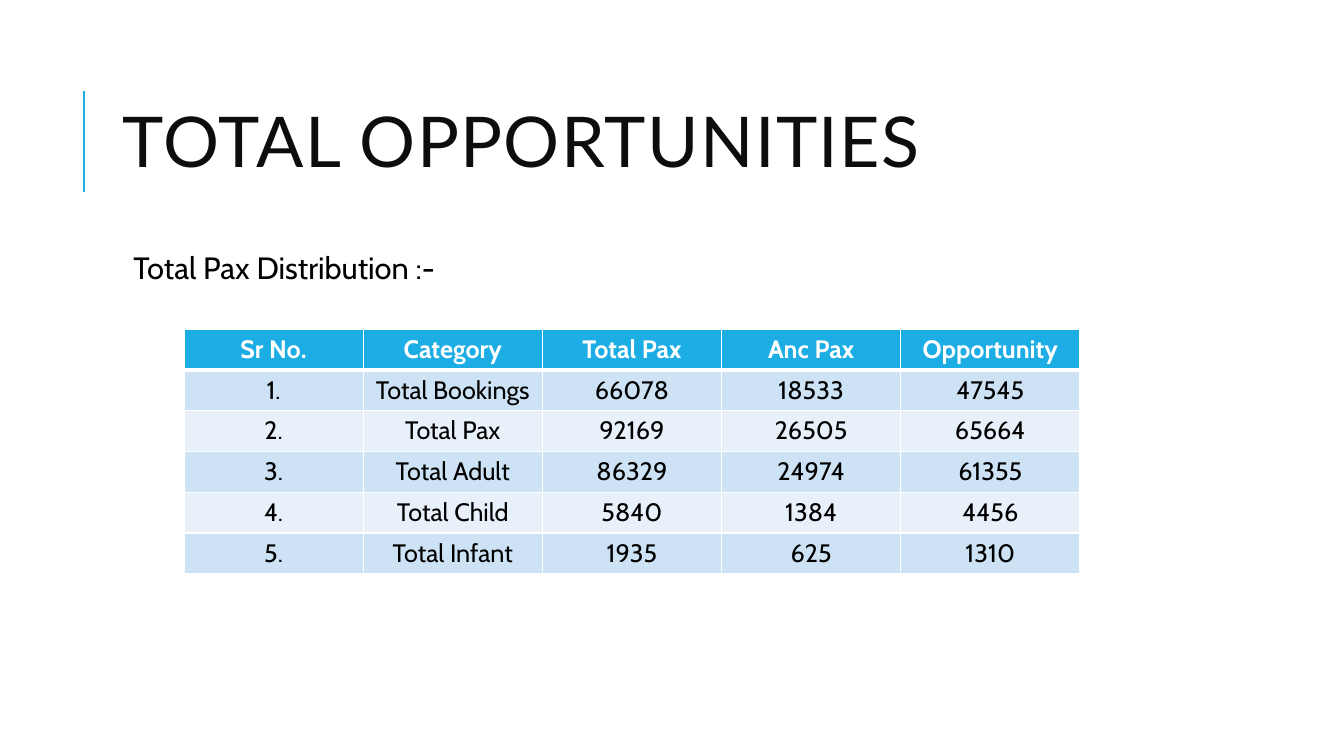
from lxml.etree import SubElement
from pptx import Presentation
from pptx.dml.color import RGBColor
from pptx.enum.shapes import MSO_CONNECTOR
from pptx.enum.text import MSO_ANCHOR, PP_ALIGN
from pptx.oxml import parse_xml
from pptx.oxml.ns import nsdecls, qn
from pptx.util import Emu, Pt

PIXEL = 914400 / 100.8
ACCENT, WHITE, BLACK = "1CADE4", "FFFFFF", "000000"
BANDS = ["E8F1FA", "CDE3F5"]


def px(pixels):
    return Emu(round(pixels * PIXEL))


def add_run(paragraph, text, font_name, size, color, bold=False):
    run = paragraph.add_run()
    run.text = text
    run.font.name = font_name
    run.font.size = Pt(size)
    run.font.bold = bold
    run.font.color.rgb = RGBColor.from_string(color)
    return run


presentation = Presentation()
presentation.slide_width = px(1344)
presentation.slide_height = px(756)
slide = presentation.slides.add_slide(presentation.slide_layouts[6])

accent_line = slide.shapes.add_connector(MSO_CONNECTOR.STRAIGHT, px(84), px(192), px(84), px(91))
accent_line.line.color.rgb = RGBColor.from_string(ACCENT)
accent_line.line.width = Pt(1.5)
SubElement(accent_line._element.spPr, qn("a:effectLst"))

title = slide.shapes.add_textbox(px(113), px(65), px(1072), px(165)).text_frame
title.word_wrap = True
title.vertical_anchor = MSO_ANCHOR.MIDDLE
paragraph = title.paragraphs[0]
paragraph.line_spacing = 0.8
title_run = add_run(paragraph, "TOTAL OPPORTUNITIES", "Lato", 50, "0D0D0D")
title_run.font._element.set("spc", "100")

body = slide.shapes.add_textbox(px(113), px(248), px(1072), px(444)).text_frame
body.word_wrap = True
body.margin_left = body.margin_top = body.margin_right = body.margin_bottom = px(5)
paragraph = body.paragraphs[0]
paragraph.line_spacing = 0.9
paragraph.space_before = Pt(12)
paragraph.space_after = Pt(2)
add_run(paragraph, "Total Pax Distribution :-", "Cabin", 22, BLACK)
properties = paragraph._p.get_or_add_pPr()
properties.set("marL", str(px(10)))
properties.set("indent", str(-px(10)))
bullet_color = SubElement(properties, qn("a:buClr"))
SubElement(bullet_color, qn("a:srgbClr"), val=ACCENT)
SubElement(properties, qn("a:buChar"), char=" ")

rows = [
    ["Sr No.", "Category", "Total Pax", "Anc Pax", "Opportunity"],
    ["1.", "Total Bookings", "66078", "18533", "47545"],
    ["2.", "Total Pax", "92169", "26505", "65664"],
    ["3.", "Total Adult", "86329", "24974", "61355"],
    ["4.", "Total Child", "5840", "1384", "4456"],
    ["5.", "Total Infant", "1935", "625", "1310"],
]
table = slide.shapes.add_table(len(rows), len(rows[0]), px(184), px(329), px(896), px(245)).table

for row_index, row in enumerate(rows):
    header = row_index == 0
    for column_index, text in enumerate(row):
        cell = table.cell(row_index, column_index)
        for side in "LRTB":
            heavy = (header and side == "B") or (row_index == 1 and side == "T")
            cell._tc.get_or_add_tcPr().append(parse_xml(
                f'<a:ln{side} {nsdecls("a")} w="{Pt(3 if heavy else 1)}"><a:solidFill>'
                f'<a:srgbClr val="{WHITE}"/></a:solidFill></a:ln{side}>'))
        cell.fill.solid()
        cell.fill.fore_color.rgb = RGBColor.from_string(ACCENT if header else BANDS[row_index % 2])
        paragraph = cell.text_frame.paragraphs[0]
        paragraph.alignment = PP_ALIGN.CENTER
        add_run(paragraph, text, "Cabin", 18, WHITE if header else BLACK, header)

presentation.save("out.pptx")
